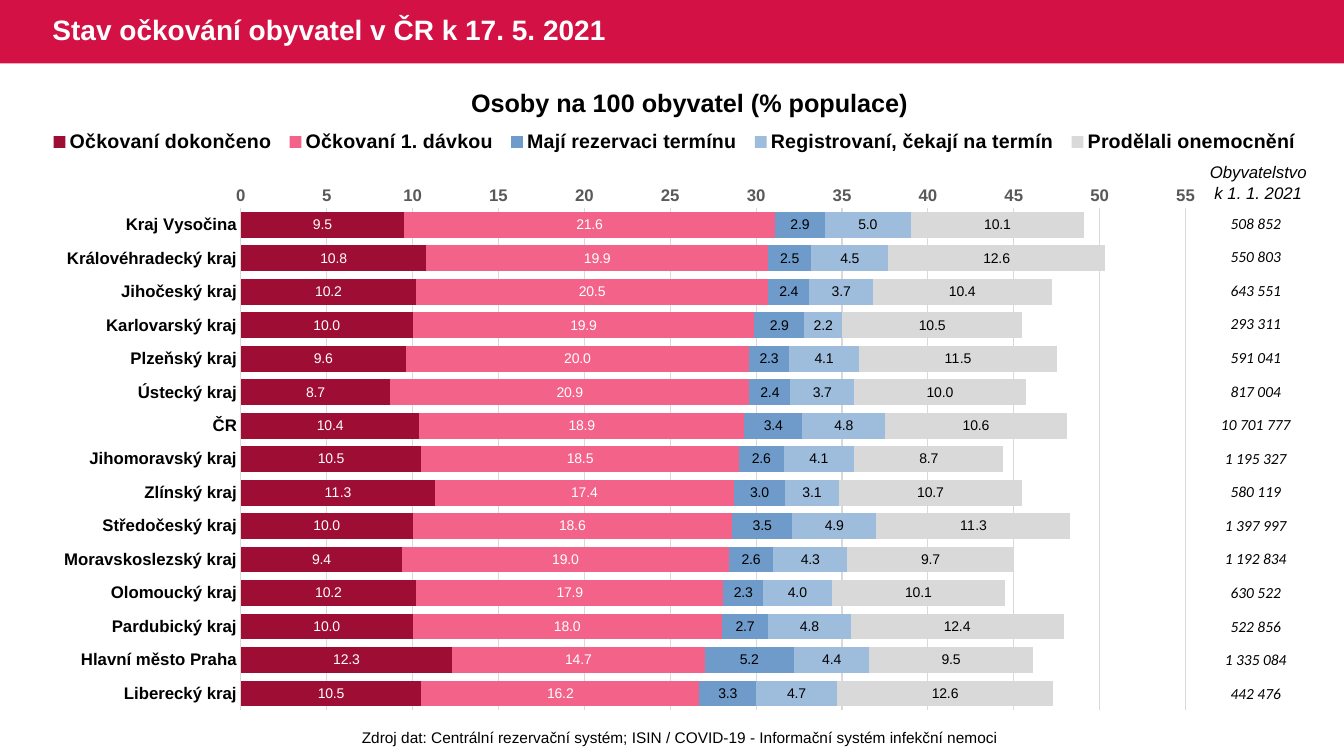
import dataclasses
import typing

import lxml.etree
import pptx
import pptx.chart.chart
import pptx.chart.data
import pptx.dml.color
import pptx.enum.chart
import pptx.enum.shapes
import pptx.enum.text
import pptx.slide
import pptx.text.text
import pptx.util

EMU_PER_PX = 9144
CHART_NS = "{http://schemas.openxmlformats.org/drawingml/2006/chart}"
COLORS = {
    "banner": "D31145",
    "white": "FFFFFF",
    "black": "000000",
    "axis": "595959",
    "grid": "D9D9D9",
    "complete": "9E0D34",
    "first_dose": "F26289",
    "reserved": "6E9BCA",
    "registered": "9EBCDB",
    "recovered": "D9D9D9",
}


class Frame(typing.NamedTuple):
    left: int
    top: int
    width: int
    height: int

    def emu(self) -> list[pptx.util.Emu]:
        return [px(length) for length in self]


class Group(typing.NamedTuple):
    name: str
    color: str
    label_color: str


class Region(typing.NamedTuple):
    name: str
    population: str
    shares: tuple[float, ...]


@dataclasses.dataclass
class Style:
    size: int
    color: str = "black"
    bold: bool = False
    italic: bool = False
    name: str = "Arial"

    def apply(self, font: pptx.text.text.Font) -> None:
        font.size = pptx.util.Pt(self.size)
        font.bold = self.bold
        font.italic = self.italic
        font.name = self.name
        font.color.rgb = rgb(self.color)


@dataclasses.dataclass
class Caption:
    frame: Frame
    text: str
    style: Style
    centered: bool = True
    wrap: bool = False


GROUPS = [
    Group("Očkovaní dokončeno", "complete", "white"),
    Group("Očkovaní 1. dávkou", "first_dose", "white"),
    Group("Mají rezervaci termínu", "reserved", "black"),
    Group("Registrovaní, čekají na termín", "registered", "black"),
    Group("Prodělali onemocnění", "recovered", "black"),
]
REGIONS = [
    Region("Kraj Vysočina", "508 852", (9.5, 21.6, 2.9, 5.0, 10.1)),
    Region("Královéhradecký kraj", "550 803", (10.8, 19.9, 2.5, 4.5, 12.6)),
    Region("Jihočeský kraj", "643 551", (10.2, 20.5, 2.4, 3.7, 10.4)),
    Region("Karlovarský kraj", "293 311", (10.0, 19.9, 2.9, 2.2, 10.5)),
    Region("Plzeňský kraj", "591 041", (9.6, 20.0, 2.3, 4.1, 11.5)),
    Region("Ústecký kraj", "817 004", (8.7, 20.9, 2.4, 3.7, 10.0)),
    Region("ČR", "10 701 777", (10.4, 18.9, 3.4, 4.8, 10.6)),
    Region("Jihomoravský kraj", "1 195 327", (10.5, 18.5, 2.6, 4.1, 8.7)),
    Region("Zlínský kraj", "580 119", (11.3, 17.4, 3.0, 3.1, 10.7)),
    Region("Středočeský kraj", "1 397 997", (10.0, 18.6, 3.5, 4.9, 11.3)),
    Region("Moravskoslezský kraj", "1 192 834", (9.4, 19.0, 2.6, 4.3, 9.7)),
    Region("Olomoucký kraj", "630 522", (10.2, 17.9, 2.3, 4.0, 10.1)),
    Region("Pardubický kraj", "522 856", (10.0, 18.0, 2.7, 4.8, 12.4)),
    Region("Hlavní město Praha", "1 335 084", (12.3, 14.7, 5.2, 4.4, 9.5)),
    Region("Liberecký kraj", "442 476", (10.5, 16.2, 3.3, 4.7, 12.6)),
]
CAPTIONS = [
    Caption(
        Frame(349, 717, 654, 29),
        "Zdroj dat: Centrální rezervační systém; ISIN / COVID-19 - Informační systém infekční nemoci",
        Style(11),
        centered=False,
    ),
    Caption(Frame(211, 82, 946, 40), "Osoby na 100 obyvatel (% populace)", Style(18, bold=True), wrap=True),
    Caption(Frame(1187, 156, 122, 50), "Obyvatelstvo\nk 1. 1. 2021", Style(12, italic=True)),
]


def px(length: int) -> pptx.util.Emu:
    return pptx.util.Emu(length * EMU_PER_PX)


def rgb(color: str) -> pptx.dml.color.RGBColor:
    return pptx.dml.color.RGBColor.from_string(COLORS[color])


def add_heading(page: pptx.slide.Slide) -> None:
    title = page.shapes.title
    title.left, title.top, title.width, title.height = Frame(42, 0, 721, 63).emu()
    title.text_frame.text = "Stav očkování obyvatel v ČR k 17. 5. 2021"
    title.text_frame.auto_size = pptx.enum.text.MSO_AUTO_SIZE.NONE
    title.text_frame.vertical_anchor = pptx.enum.text.MSO_ANCHOR.MIDDLE
    para = title.text_frame.paragraphs[0]
    para.alignment = pptx.enum.text.PP_ALIGN.LEFT
    para.line_spacing = 0.9
    Style(20, "white", bold=True).apply(para.runs[0].font)
    banner = page.shapes.add_shape(pptx.enum.shapes.MSO_SHAPE.RECTANGLE, *Frame(0, 0, 1333, 63).emu())
    banner.shadow.inherit = False
    banner.fill.solid()
    banner.fill.fore_color.rgb = rgb("banner")
    banner.line.fill.background()
    title.element.addprevious(banner.element)


def add_caption(page: pptx.slide.Slide, caption: Caption) -> None:
    box = page.shapes.add_textbox(*caption.frame.emu())
    box.text_frame.text = caption.text
    box.text_frame.word_wrap = caption.wrap
    box.text_frame.auto_size = pptx.enum.text.MSO_AUTO_SIZE.SHAPE_TO_FIT_TEXT
    for para in box.text_frame.paragraphs:
        if caption.centered:
            para.alignment = pptx.enum.text.PP_ALIGN.CENTER
        for span in para.runs:
            caption.style.apply(span.font)


def set_layout(chart: pptx.chart.chart.Chart, part: str, index: int, settings: dict[str, str]) -> None:
    parent = chart.element.find(f".//{CHART_NS}{part}")
    for old in parent.findall(f"{CHART_NS}layout"):
        parent.remove(old)
    layout = lxml.etree.Element(f"{CHART_NS}layout")
    manual = lxml.etree.SubElement(layout, f"{CHART_NS}manualLayout")
    for name, value in settings.items():
        lxml.etree.SubElement(manual, f"{CHART_NS}{name}").set("val", value)
    parent.insert(index, layout)


def add_vaccination_chart(page: pptx.slide.Slide) -> None:
    data = pptx.chart.data.CategoryChartData(number_format="#,##0.0")
    data.categories = [region.name for region in REGIONS]
    for group, shares in zip(GROUPS, zip(*(region.shares for region in REGIONS))):
        data.add_series(group.name, shares)
    chart_type = pptx.enum.chart.XL_CHART_TYPE.BAR_STACKED
    chart = page.shapes.add_chart(chart_type, *Frame(29, 77, 1280, 638).emu(), data).chart
    chart.has_title = False
    Style(10).apply(chart.font)

    plot = chart.plots[0]
    plot.gap_width = 30
    plot.overlap = 100
    plot.vary_by_categories = False
    for group, series in zip(GROUPS, plot.series):
        series.format.fill.solid()
        series.format.fill.fore_color.rgb = rgb(group.color)
        labels = series.data_labels
        labels.show_value = True
        labels.number_format = "#,##0.0"
        labels.number_format_is_linked = False
        Style(10, group.label_color).apply(labels.font)

    regions, percent = chart.category_axis, chart.value_axis
    for axis, color in ((regions, "black"), (percent, "axis")):
        axis.major_tick_mark = axis.minor_tick_mark = pptx.enum.chart.XL_TICK_MARK.NONE
        Style(12, color, bold=True).apply(axis.tick_labels.font)
    regions.reverse_order = True
    percent.minimum_scale, percent.maximum_scale, percent.major_unit = 0, 55, 5
    percent.tick_labels.number_format = "0"
    percent.tick_labels.number_format_is_linked = False
    percent.format.line.fill.background()
    for line in (regions.format.line, percent.major_gridlines.format.line):
        line.color.rgb = rgb("grid")
        line.width = pptx.util.Pt(0.75)

    chart.has_legend = True
    chart.legend.position = pptx.enum.chart.XL_LEGEND_POSITION.TOP
    chart.legend.include_in_layout = False
    Style(14, bold=True).apply(chart.legend.font)
    edges = {"xMode": "edge", "yMode": "edge"}
    set_layout(chart, "legend", 1, edges | {"x": "0.01", "y": "0.07", "w": "0.98", "h": "0.06"})
    inner = {"layoutTarget": "inner"} | edges
    set_layout(chart, "plotArea", 0, inner | {"x": "0.164", "y": "0.203", "w": "0.732", "h": "0.781"})


def add_population_table(page: pptx.slide.Slide) -> None:
    frame = Frame(1192, 205, 107, 500)
    table = page.shapes.add_table(len(REGIONS), 1, *frame.emu()).table
    table.first_row = table.horz_banding = False
    for row, region in zip(table.rows, REGIONS):
        row.height = px(frame.height) // len(REGIONS)
        cell = row.cells[0]
        cell.fill.background()
        cell.margin_left = cell.margin_right = cell.margin_top = px(1)
        cell.margin_bottom = 0
        cell.vertical_anchor = pptx.enum.text.MSO_ANCHOR.MIDDLE
        cell.text_frame.text = region.population
        para = cell.text_frame.paragraphs[0]
        para.alignment = pptx.enum.text.PP_ALIGN.CENTER
        Style(11, italic=True, name="Calibri").apply(para.runs[0].font)


def main() -> None:
    deck = pptx.Presentation()
    deck.slide_width, deck.slide_height = px(1333), px(750)
    page = deck.slides.add_slide(deck.slide_layouts[5])
    add_heading(page)
    add_vaccination_chart(page)
    add_population_table(page)
    for caption in CAPTIONS:
        add_caption(page, caption)
    deck.save("out.pptx")


if __name__ == "__main__":
    main()
